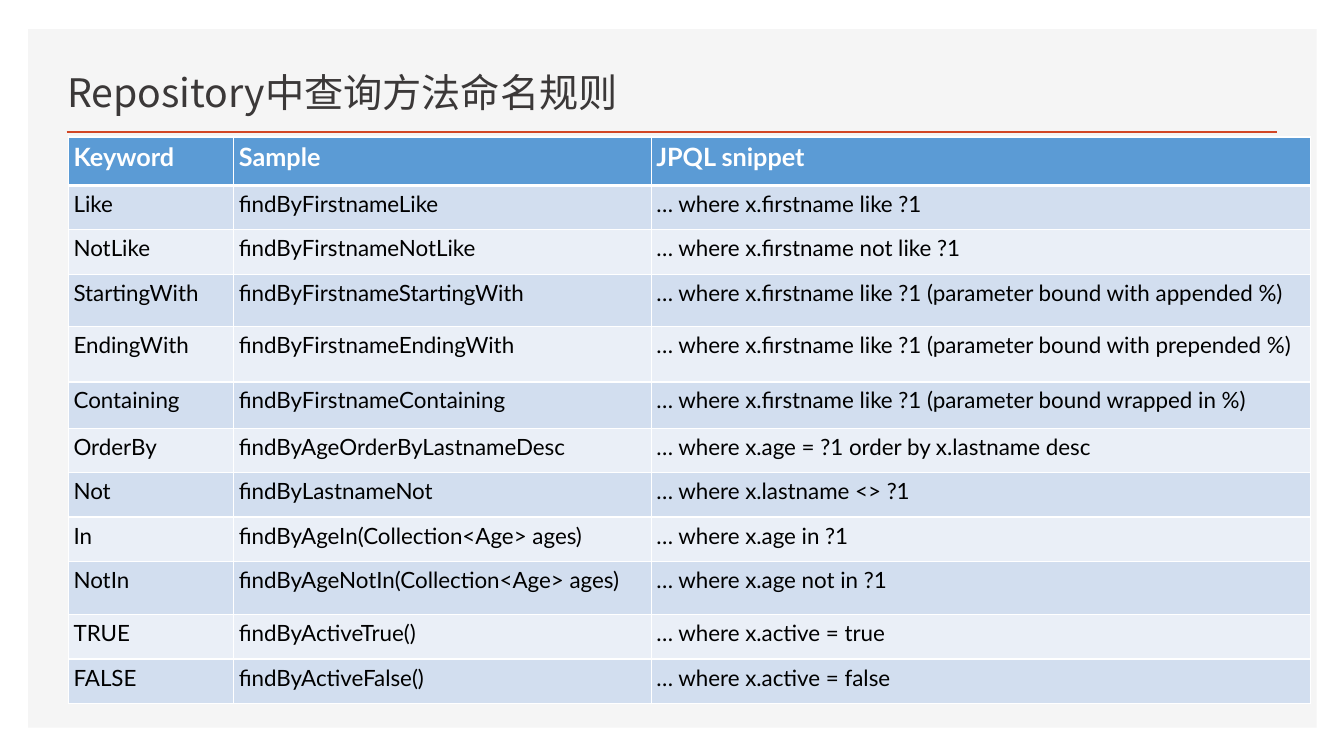
from lxml import etree
from pptx import Presentation
from pptx.dml.color import RGBColor
from pptx.enum.shapes import MSO_CONNECTOR, MSO_SHAPE
from pptx.enum.text import MSO_ANCHOR
from pptx.oxml.ns import qn
from pptx.util import Inches, Pt

RECTANGLE = MSO_SHAPE.RECTANGLE
STRAIGHT = MSO_CONNECTOR.STRAIGHT
BOTTOM = MSO_ANCHOR.BOTTOM

WHITE = RGBColor(0xFF, 0xFF, 0xFF)
BLACK = RGBColor(0x00, 0x00, 0x00)
PANEL_GREY = RGBColor(0xF5, 0xF5, 0xF5)
TITLE_GREY = RGBColor(0x3B, 0x38, 0x38)
RULE_ORANGE = RGBColor(0xD2, 0x47, 0x26)
HEADER_BLUE = RGBColor(0x5B, 0x9B, 0xD5)
BAND_DARK = RGBColor(0xD2, 0xDE, 0xEF)
BAND_LIGHT = RGBColor(0xEA, 0xEF, 0xF7)

TITLE_FONT = "Noto Sans CJK SC"
TABLE_FONT = "Lato"

COLUMN_WIDTHS = [1.64, 4.14, 6.54]
ROW_HEIGHTS = [0.48, 0.44, 0.44, 0.52, 0.55, 0.46, 0.44, 0.44, 0.44, 0.53, 0.44, 0.44]
NAMING_RULES = [
    ("Keyword", "Sample", "JPQL snippet"),
    ("Like", "findByFirstnameLike", "… where x.firstname like ?1"),
    ("NotLike", "findByFirstnameNotLike", "… where x.firstname not like ?1"),
    ("StartingWith", "findByFirstnameStartingWith",
     "… where x.firstname like ?1 (parameter bound with appended %)"),
    ("EndingWith", "findByFirstnameEndingWith",
     "… where x.firstname like ?1 (parameter bound with prepended %)"),
    ("Containing", "findByFirstnameContaining",
     "… where x.firstname like ?1 (parameter bound wrapped in %)"),
    ("OrderBy", "findByAgeOrderByLastnameDesc",
     "… where x.age = ?1 order by x.lastname desc"),
    ("Not", "findByLastnameNot", "… where x.lastname <> ?1"),
    ("In", "findByAgeIn(Collection<Age> ages)", "… where x.age in ?1"),
    ("NotIn", "findByAgeNotIn(Collection<Age> ages)", "… where x.age not in ?1"),
    ("TRUE", "findByActiveTrue()", "… where x.active = true"),
    ("FALSE", "findByActiveFalse()", "… where x.active = false"),
]


def add_run(paragraph, text, font_name, size, color, bold=False):
    run = paragraph.add_run()
    run.text = text
    run.font.name = font_name
    run.font.size = Pt(size)
    run.font.bold = bold
    run.font.color.rgb = color
    east_asian = etree.SubElement(run.font._element, qn("a:ea"))
    east_asian.set("typeface", font_name)


def set_borders(cell, widths):
    properties = cell._tc.get_or_add_tcPr()
    for position, (side, width) in enumerate(widths.items()):
        border = etree.Element(qn(f"a:ln{side}"), w=str(Pt(width)))
        fill = etree.SubElement(border, qn("a:solidFill"))
        etree.SubElement(fill, qn("a:srgbClr"), val=str(WHITE))
        properties.insert(position, border)


prs = Presentation()
prs.slide_width = Inches(13.33)
prs.slide_height = Inches(7.5)
slide = prs.slides.add_slide(prs.slide_layouts[6])

panel = slide.shapes.add_shape(
    RECTANGLE, Inches(0.28), Inches(0.29), Inches(12.78), Inches(6.93))
panel.shadow.inherit = False
panel.fill.solid()
panel.fill.fore_color.rgb = PANEL_GREY
panel.line.fill.background()

title_rule = slide.shapes.add_connector(
    STRAIGHT, Inches(0.66), Inches(1.31), Inches(12.67), Inches(1.31))
title_rule.line.color.rgb = RULE_ORANGE
title_rule.line.width = Pt(2)
etree.SubElement(title_rule._element.spPr, qn("a:effectLst"))

title = slide.shapes.add_textbox(
    Inches(0.57), Inches(0.49), Inches(7.52), Inches(0.7)).text_frame
title.word_wrap = True
title.vertical_anchor = BOTTOM
add_run(title.paragraphs[0], "Repository中查询方法命名规则", TITLE_FONT, 28, TITLE_GREY)

rules_table = slide.shapes.add_table(
    len(NAMING_RULES), len(COLUMN_WIDTHS), Inches(0.68), Inches(1.36),
    Inches(sum(COLUMN_WIDTHS)), Inches(sum(ROW_HEIGHTS))).table
for column, width in zip(rules_table.columns, COLUMN_WIDTHS):
    column.width = Inches(width)

for row_index, (height, rule) in enumerate(zip(ROW_HEIGHTS, NAMING_RULES)):
    rules_table.rows[row_index].height = Inches(height)
    is_header = row_index == 0
    if is_header:
        fill_color, text_color, size = HEADER_BLUE, WHITE, 18
    else:
        fill_color = BAND_DARK if row_index % 2 else BAND_LIGHT
        text_color, size = BLACK, 16
    for column_index, text in enumerate(rule):
        cell = rules_table.cell(row_index, column_index)
        cell.margin_left = cell.margin_right = Inches(0.05)
        cell.margin_top = cell.margin_bottom = Inches(0.05)
        cell.fill.solid()
        cell.fill.fore_color.rgb = fill_color
        set_borders(cell, {"L": 1, "R": 1, "T": 3 if row_index == 1 else 1,
                           "B": 3 if is_header else 1})
        add_run(cell.text_frame.paragraphs[0], text, TABLE_FONT, size,
                text_color, is_header)

prs.save("out.pptx")
